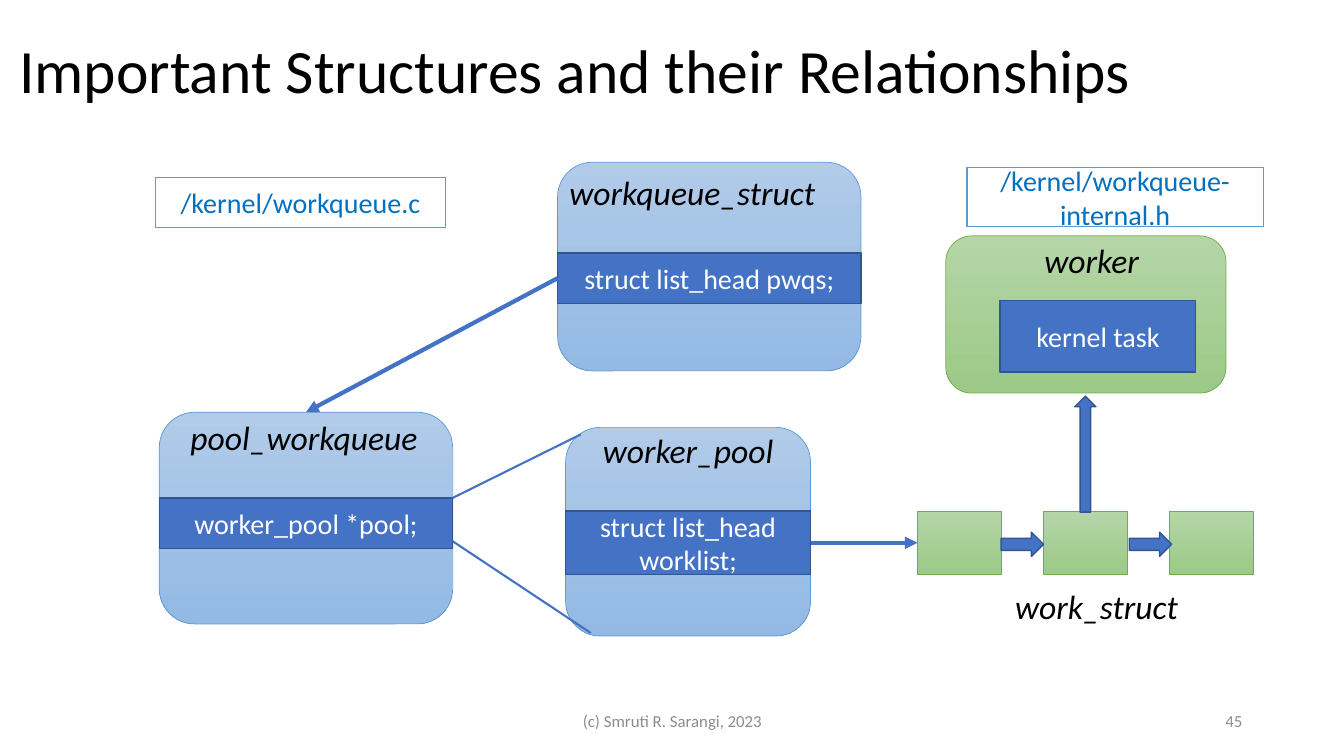
"""Build a slide of the kernel workqueue structures and their links."""
import pptx
import pptx.util
import pptx.dml.color
import pptx.enum.shapes
import pptx.enum.text
import pptx.oxml.ns
from lxml import etree

RGB = pptx.dml.color.RGBColor
KIND = pptx.enum.shapes.MSO_SHAPE
ALIGN = pptx.enum.text.PP_ALIGN
ANCHOR = pptx.enum.text.MSO_ANCHOR
FIT = pptx.enum.text.MSO_AUTO_SIZE
Pt = pptx.util.Pt
PX = 9144

BLACK = RGB(0x00, 0x00, 0x00)
WHITE = RGB(0xFF, 0xFF, 0xFF)
GREY = RGB(0x8C, 0x8C, 0x8C)
BLUE = RGB(0x44, 0x72, 0xC4)
NAVY = RGB(0x32, 0x54, 0x91)
SKY = RGB(0x5B, 0x9B, 0xD5)
INK = RGB(0x00, 0x70, 0xC0)
LEAF = RGB(0x70, 0xAD, 0x47)
SKIES = (RGB(0xB1, 0xCB, 0xE9), RGB(0x93, 0xB9, 0xE4))
LEAVES = (RGB(0xB5, 0xD5, 0xA7), RGB(0x9C, 0xC9, 0x87))


def draw(kind, box, fill, edge, width):
    """Add a preset shape; a pair of colours makes a gradient from the top."""
    shape = slide.shapes.add_shape(kind, *[n * PX for n in box])
    shape.shadow.inherit = False
    if isinstance(fill, RGB):
        shape.fill.solid()
        shape.fill.fore_color.rgb = fill
    else:
        shape.fill.gradient()
        shape.fill.gradient_angle = 270
        for stop, shade in zip(shape.fill.gradient_stops, fill):
            stop.color.rgb = shade
    shape.line.color.rgb = edge
    shape.line.width = Pt(width)
    return shape


def write(shape, text, align, wrap=True, fit=FIT.NONE, anchor=ANCHOR.MIDDLE, **font):
    """Put one formatted paragraph into a shape."""
    frame = shape.text_frame
    frame.word_wrap = wrap
    frame.auto_size = fit
    frame.vertical_anchor = anchor
    line = frame.paragraphs[0]
    line.alignment = align
    run = line.add_run()
    run.text = text
    run.font.color.rgb = font.pop("color")
    for key, value in {"name": "Calibri", **font}.items():
        setattr(run.font, key, value)
    return line


deck = pptx.Presentation()
deck.slide_width, deck.slide_height = 1333 * PX, 750 * PX
slide = deck.slides.add_slide(deck.slide_layouts[5])

title = slide.shapes.title
place = {"left": 9, "top": 0, "width": 1150, "height": 145}
for key, value in place.items():
    setattr(title, key, value * PX)
head = write(title, "Important Structures and their Relationships", ALIGN.LEFT,
             size=Pt(44), color=BLACK)
head.line_spacing = 0.9

for text, box, align in (
    ("(c) Smruti R. Sarangi, 2023", (442, 695, 450, 40), ALIGN.CENTER),
    ("45", (942, 695, 300, 40), ALIGN.RIGHT),
):
    foot = slide.shapes.add_textbox(*[n * PX for n in box])
    write(foot, text, align, size=Pt(12), color=GREY)

cards = {}
for name, box, fill, edge in (
    ("worker", (938, 234, 278, 156), LEAVES, LEAF),
    ("pool_workqueue", (158, 409, 291, 210), SKIES, SKY),
    ("worker_pool", (561, 424, 243, 207), SKIES, SKY),
    ("workqueue_struct", (553, 161, 301, 207), SKIES, SKY),
):
    cards[name] = draw(KIND.ROUNDED_RECTANGLE, box, fill, edge, 0.5)

for name, left, top, width in (
    ("worker", 1026, 233, 115),
    ("pool_workqueue", 179, 409, 248),
    ("worker_pool", 588, 422, 192),
    ("workqueue_struct", 555, 166, 267),
    ("work_struct", 997, 576, 183),
):
    label = slide.shapes.add_textbox(left * PX, top * PX, width * PX, 50 * PX)
    write(label, name, ALIGN.LEFT, wrap=False, fit=FIT.SHAPE_TO_FIT_TEXT,
          anchor=ANCHOR.TOP, size=Pt(24), italic=True, color=BLACK)

bars = {}
for name, text, box, fill, edge, color in (
    ("pool", "worker_pool *pool;", (158, 494, 291, 50), BLUE, NAVY, WHITE),
    ("pwqs", "struct list_head pwqs;", (553, 251, 301, 50), BLUE, NAVY, WHITE),
    ("list", "struct list_head worklist;", (561, 507, 243, 63), BLUE, NAVY, WHITE),
    ("task", "kernel task", (992, 298, 194, 71), BLUE, NAVY, WHITE),
    ("code", "/kernel/workqueue.c", (154, 176, 288, 50), WHITE, SKY, INK),
    ("header", "/kernel/workqueue-internal.h", (959, 166, 294, 59), WHITE, SKY, INK),
):
    bars[name] = draw(KIND.RECTANGLE, box, fill, edge, 1)
    write(bars[name], text, ALIGN.CENTER, size=Pt(20), color=color)

nodes = [draw(KIND.RECTANGLE, (910 + 125 * i, 507, 83, 63), LEAVES, LEAF, 0.5)
         for i in range(3)]
for i in range(2):
    draw(KIND.RIGHT_ARROW, (993 + 127 * i, 528, 42, 24), BLUE, NAVY, 1)
rise = draw(KIND.RIGHT_ARROW, (1019, 440, 115, 21), BLUE, NAVY, 1)
rise.rotation = 270

for ends, width, joins in (
    ((449, 494, 576, 431), 1.5, None),
    ((449, 537, 586, 628), 1.5, None),
    ((553, 276, 304, 409), 3, (bars["pwqs"], 1, cards["pool_workqueue"], 0)),
    ((804, 538, 910, 538), 3, (bars["list"], 3, nodes[0], 1)),
):
    link = slide.shapes.add_connector(
        pptx.enum.shapes.MSO_CONNECTOR.STRAIGHT, *[n * PX for n in ends])
    link.line.color.rgb = BLUE
    link.line.width = Pt(width)
    if joins:
        link.begin_connect(*joins[:2])
        link.end_connect(*joins[2:])
        tail = etree.SubElement(link.line._get_or_add_ln(),
                                pptx.oxml.ns.qn("a:tailEnd"))
        tail.set("type", "triangle")
    etree.SubElement(link._element.spPr, pptx.oxml.ns.qn("a:effectLst"))

deck.save("out.pptx")
